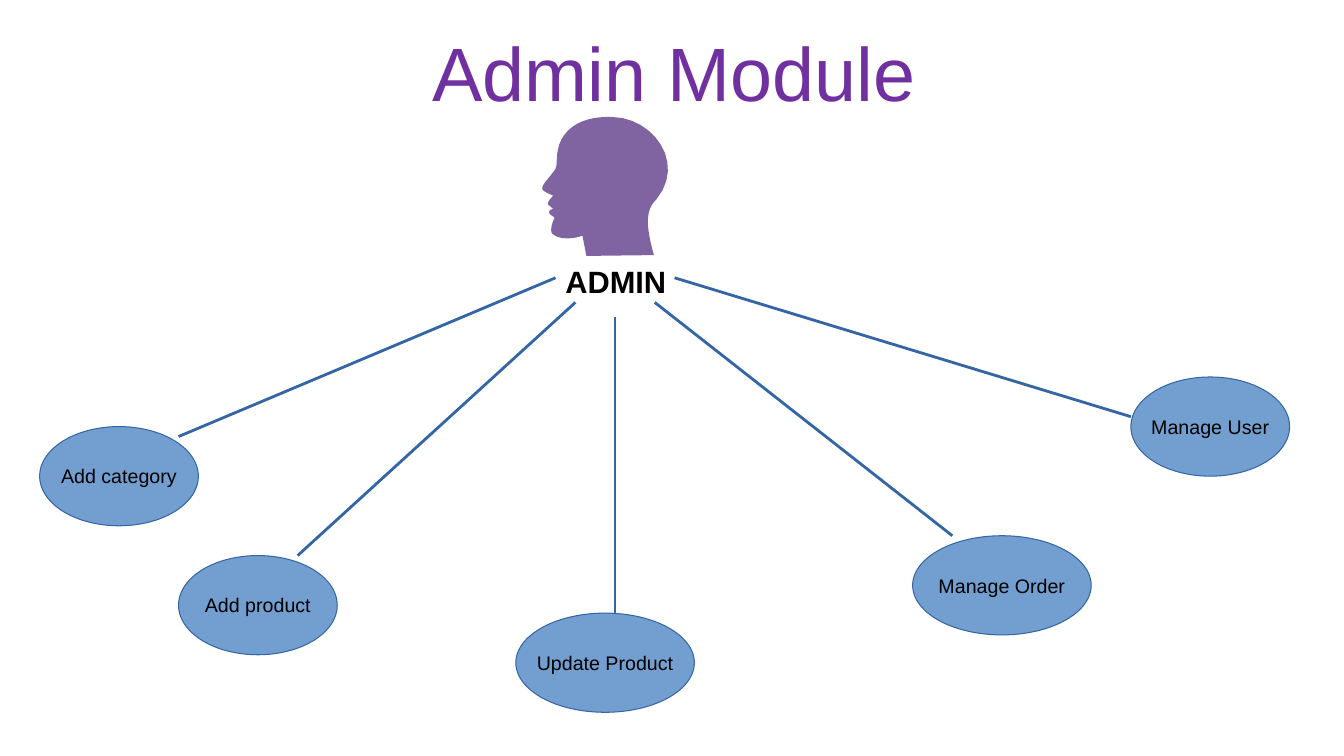
import pptx
import pptx.dml.color
import pptx.enum.shapes
import pptx.enum.text
import pptx.oxml.ns
import pptx.util
from lxml import etree
from pptx.util import Cm, Pt

RGBColor = pptx.dml.color.RGBColor
TITLE_PURPLE = RGBColor(0x70, 0x30, 0xA0)
HEAD_PURPLE = RGBColor(0x80, 0x64, 0xA2)
BUBBLE_BLUE = RGBColor(0x72, 0x9F, 0xCF)
LINE_BLUE = RGBColor(0x34, 0x65, 0xA4)
BLACK = RGBColor(0x00, 0x00, 0x00)

FONT = "Arial"
BUBBLE_HEIGHT = 2.5
CURVE_STEPS = 12

# label, left, top, width in cm
TASKS = [
    ("Add category", 1, 10.75, 4),
    ("Add product", 4.5, 14, 4),
    ("Update Product", 13, 15.45, 4.5),
    ("Manage Order", 23, 13.5, 4.5),
    ("Manage User", 28.5, 9.5, 4),
]

# from the admin label to a task, in cm
SPOKES = [
    ((14, 7), (4.5, 11)),
    ((14.5, 7.62), (7.5, 14)),
    ((15.5, 8), (15.5, 15.45)),
    ((16.5, 7.62), (24, 13.5)),
    ((17, 7), (28.5, 10.5)),
]

# outline of the head in cm: one point is a straight edge,
# three points are two handles and the end of a curve
HEAD_START = (15.44, 2.95)
HEAD_EDGES = [
    [(14.73, 2.92), (14.27, 3.18), (14.1, 3.63)],
    [(13.97, 4.04), (14.1, 4.17), (13.94, 4.34)],
    [(13.79, 4.55), (13.64, 4.67), (13.67, 4.78)],
    [(13.72, 4.83), (13.82, 4.88), (13.94, 4.93)],
    [(13.89, 5), (13.77, 5.11), (13.82, 5.16)],
    [(13.94, 5.26)],
    [(13.92, 5.28), (13.84, 5.28), (13.84, 5.36)],
    [(13.87, 5.44), (14, 5.46), (13.97, 5.51)],
    [(13.89, 5.66), (13.87, 5.84), (13.92, 5.89)],
    [(14.05, 6.02), (14.38, 6.05), (14.68, 5.94)],
    [(14.78, 6.45)],
    [(16.48, 6.43)],
    [(16.26, 5.64), (16.28, 5.28), (16.54, 5.03)],
    [(17.3, 4.11), (16.46, 2.97), HEAD_START],
]


def place(shape, left, top, width, height):
    shape.left, shape.top = Cm(left), Cm(top)
    shape.width, shape.height = Cm(width), Cm(height)


def write(shape, text, size, color, bold=False):
    """Set one formatted paragraph and return it."""
    para = shape.text_frame.paragraphs[0]
    para.text = text
    for span in para.runs:
        span.font.name = FONT
        span.font.size = Pt(size)
        span.font.bold = bold
        span.font.color.rgb = color
    return para


def set_title(page, text):
    title = page.shapes.title
    place(title, 0.9, 0.94, 32.16, 2)
    title.text_frame.auto_size = pptx.enum.text.MSO_AUTO_SIZE.NONE
    title.text_frame.vertical_anchor = pptx.enum.text.MSO_ANCHOR.MIDDLE
    para = write(title, text, 54, TITLE_PURPLE)
    para.alignment = pptx.enum.text.PP_ALIGN.CENTER
    para.line_spacing = 0.9
    para.space_before = Pt(10)


def curve_points(start, first, second, end):
    """Sample a cubic curve, leaving out its start."""
    points = []
    for step in range(1, CURVE_STEPS + 1):
        t = step / CURVE_STEPS
        weights = ((1 - t) ** 3, 3 * t * (1 - t) ** 2, 3 * t ** 2 * (1 - t), t ** 3)
        corners = (start, first, second, end)
        points.append(tuple(
            sum(weight * corner[axis] for weight, corner in zip(weights, corners))
            for axis in (0, 1)
        ))
    return points


def add_head(page):
    points = [HEAD_START]
    for edge in HEAD_EDGES:
        points += curve_points(points[-1], *edge) if len(edge) == 3 else edge
    outline = [(Cm(x), Cm(y)) for x, y in points]
    builder = page.shapes.build_freeform(*outline[0])
    builder.add_line_segments(outline[1:], close=True)
    head = builder.convert_to_shape()
    head.shadow.inherit = False
    head.fill.solid()
    head.fill.fore_color.rgb = HEAD_PURPLE
    head.line.fill.background()


def add_label(page, text):
    box = page.shapes.add_textbox(Cm(14), Cm(6.5), Cm(4.5), Cm(1.12))
    box.text_frame.word_wrap = True
    write(box, text, 22, BLACK, bold=True)


def add_bubble(page, text, left, top, width):
    bubble = page.shapes.add_shape(
        pptx.enum.shapes.MSO_SHAPE.FLOWCHART_CONNECTOR,
        Cm(left), Cm(top), Cm(width), Cm(BUBBLE_HEIGHT),
    )
    bubble.shadow.inherit = False
    bubble.fill.solid()
    bubble.fill.fore_color.rgb = BUBBLE_BLUE
    bubble.line.color.rgb = LINE_BLUE
    bubble.line.width = Pt(0)
    bubble.text_frame.word_wrap = False
    bubble.text_frame.vertical_anchor = pptx.enum.text.MSO_ANCHOR.MIDDLE
    para = write(bubble, text, 14, BLACK)
    para.alignment = pptx.enum.text.PP_ALIGN.CENTER


def add_spoke(page, start, end):
    spoke = page.shapes.add_connector(
        pptx.enum.shapes.MSO_CONNECTOR.STRAIGHT,
        *(Cm(value) for value in start + end),
    )
    spoke.line.color.rgb = LINE_BLUE
    spoke.line.width = Pt(0)
    properties = spoke._element.spPr
    etree.SubElement(properties, pptx.oxml.ns.qn("a:effectLst"))


def main():
    deck = pptx.Presentation()
    deck.slide_width, deck.slide_height = Cm(33.87), Cm(19.05)
    title_only = deck.slide_layouts[5]
    page = deck.slides.add_slide(title_only)
    set_title(page, "Admin Module")
    add_head(page)
    add_label(page, "ADMIN")
    for task in TASKS:
        add_bubble(page, *task)
    for start, end in SPOKES:
        add_spoke(page, start, end)
    deck.save("out.pptx")


if __name__ == "__main__":
    main()
